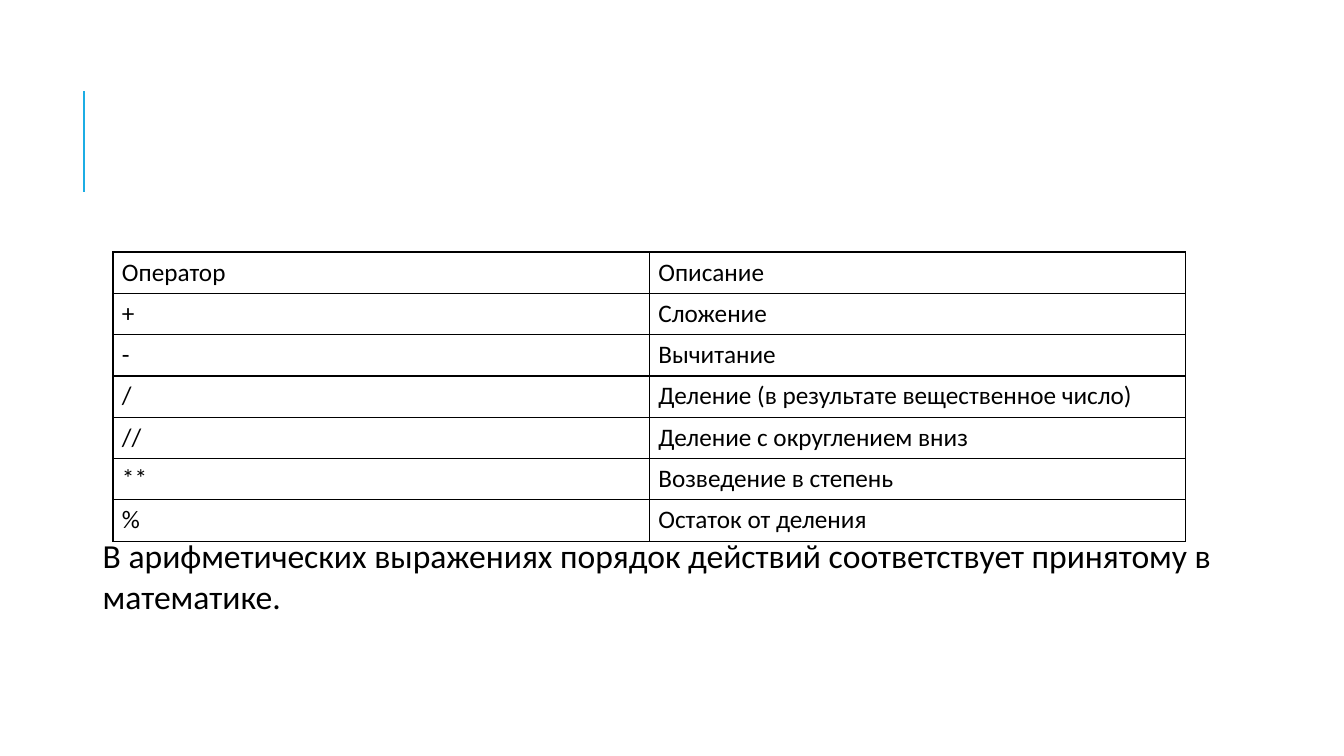
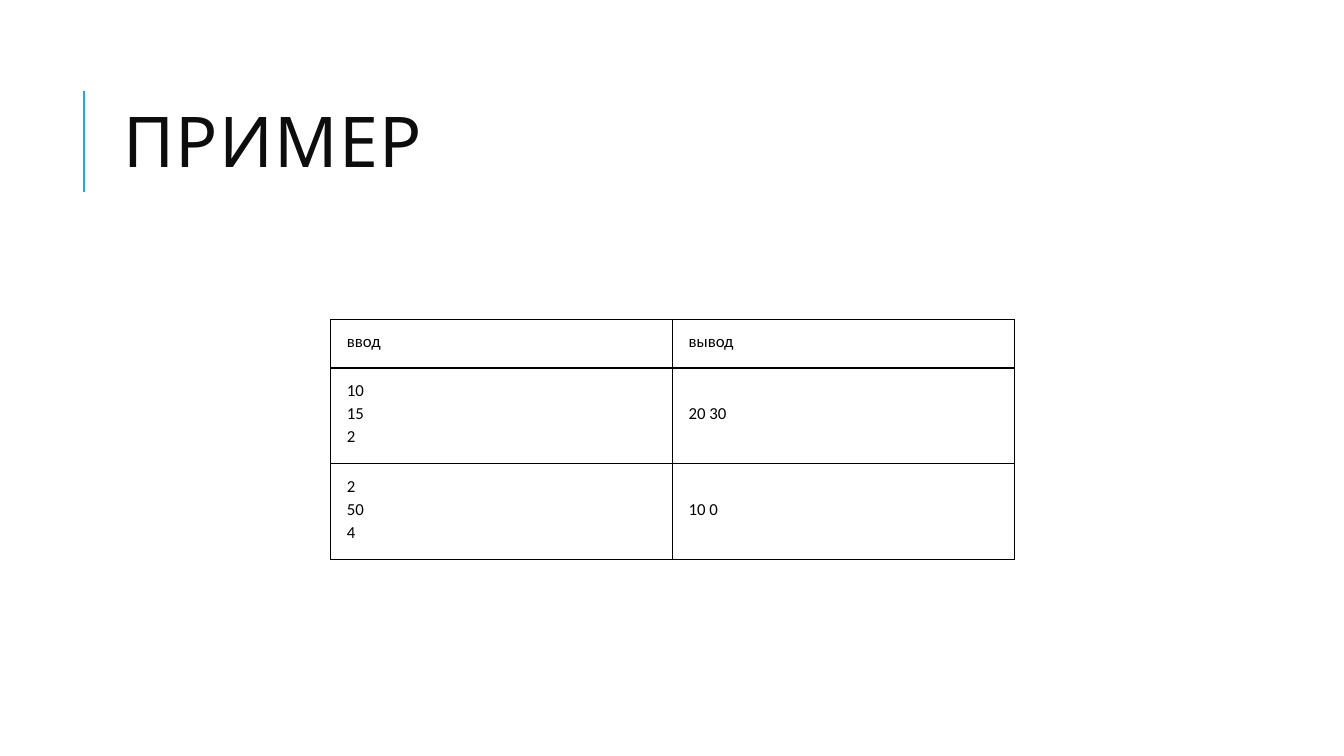
from dataclasses import dataclass

from lxml import etree
from pptx import Presentation
from pptx.dml.color import RGBColor
from pptx.enum import shapes, text
from pptx.oxml import ns
from pptx.slide import Slide
from pptx.table import _Cell
from pptx.util import Inches, Length, Pt

ACCENT = RGBColor(0x1C, 0xAD, 0xE4)
TITLE_COLOR = RGBColor(0x0D, 0x0D, 0x0D)
BLACK = RGBColor(0, 0, 0)
TITLE_FONT = "Cabin"
BODY_FONT = "Calibri"


@dataclass(frozen=True)
class TableLook:
    left: Length
    top: Length
    column_width: Length
    row_heights: tuple[Length, ...]
    font_size: Length
    margins: tuple[Length, Length, Length, Length]
    anchor: text.MSO_ANCHOR = text.MSO_ANCHOR.TOP
    header_spacing: float | None = None
    body_spacing: Length | None = None


OPERATOR_ROWS = (
    ("Оператор", "Описание"),
    ("+", "Сложение"),
    ("-", "Вычитание"),
    ("/", "Деление (в результате вещественное число)"),
    ("//", "Деление с округлением вниз"),
    ("**", "Возведение в степень"),
    ("%", "Остаток от деления"),
)
OPERATOR_LOOK = TableLook(
    left=Inches(1.12),
    top=Inches(2.5),
    column_width=Inches(5.32),
    row_heights=(Inches(0.41),) * len(OPERATOR_ROWS),
    font_size=Pt(18),
    margins=(Inches(0.09), Inches(0.05), Inches(0.09), Inches(0.05)),
)
EXAMPLE_ROWS = (
    ("ввод", "вывод"),
    ("10\v15\v2", "20 30"),
    ("2\v50\v4", "10 0"),
)
EXAMPLE_LOOK = TableLook(
    left=Inches(3.28),
    top=Inches(3.17),
    column_width=Inches(3.39),
    row_heights=(Inches(0.48), Inches(0.95), Inches(0.95)),
    font_size=Pt(12),
    margins=(Inches(0.16), Inches(0.1), Inches(0.16), Inches(0.16)),
    anchor=text.MSO_ANCHOR.MIDDLE,
    header_spacing=1.07,
    body_spacing=Pt(16.5),
)


def style_font(font, name: str, size: Length, color: RGBColor) -> None:
    font.name = name
    font.size = size
    font.bold = False
    font.color.rgb = color


def add_title_bar(slide: Slide) -> None:
    bar = slide.shapes.add_connector(
        shapes.MSO_CONNECTOR.STRAIGHT,
        Inches(0.83), Inches(1.9), Inches(0.83), Inches(0.9),
    )
    bar.line.color.rgb = ACCENT
    bar.line.width = Pt(1.5)
    properties = bar._element.find(ns.qn("p:spPr"))
    etree.SubElement(properties, ns.qn("a:effectLst"))


def set_title(slide: Slide, wording: str) -> None:
    title = slide.shapes.title
    title.left, title.top = Inches(1.12), Inches(0.64)
    title.width, title.height = Inches(10.63), Inches(1.64)
    frame = title.text_frame
    frame.text = wording
    frame.auto_size = text.MSO_AUTO_SIZE.NONE
    frame.vertical_anchor = text.MSO_ANCHOR.MIDDLE
    paragraph = frame.paragraphs[0]
    paragraph.alignment = text.PP_ALIGN.LEFT
    paragraph.line_spacing = 0.8
    run = paragraph.runs[0]
    style_font(run.font, TITLE_FONT, Pt(50), TITLE_COLOR)
    run._r.get_or_add_rPr().set("spc", "100")


def add_borders(cell: _Cell) -> None:
    properties = cell._tc.get_or_add_tcPr()
    for index, side in enumerate(("lnL", "lnR", "lnT", "lnB")):
        line = etree.Element(ns.qn(f"a:{side}"), w=str(Pt(1)))
        fill = etree.SubElement(line, ns.qn("a:solidFill"))
        etree.SubElement(fill, ns.qn("a:srgbClr"), val=str(BLACK))
        properties.insert(index, line)


def fill_cell(cell: _Cell, wording: str, look: TableLook,
              spacing: float | Length | None) -> None:
    cell.fill.background()
    add_borders(cell)
    (cell.margin_left, cell.margin_top,
     cell.margin_right, cell.margin_bottom) = look.margins
    cell.vertical_anchor = look.anchor
    cell.text_frame.text = wording
    paragraph = cell.text_frame.paragraphs[0]
    paragraph.line_spacing = spacing
    for run in paragraph.runs:
        style_font(run.font, BODY_FONT, look.font_size, BLACK)


def add_grid(slide: Slide, rows: tuple[tuple[str, ...], ...],
             look: TableLook) -> None:
    column_count = len(rows[0])
    table = slide.shapes.add_table(
        len(rows), column_count, look.left, look.top,
        look.column_width * column_count, sum(look.row_heights),
    ).table
    table.first_row = False
    table.horz_banding = False
    for column in table.columns:
        column.width = look.column_width
    for row_index, wordings in enumerate(rows):
        table.rows[row_index].height = look.row_heights[row_index]
        spacing = look.body_spacing if row_index else look.header_spacing
        for column_index, wording in enumerate(wordings):
            fill_cell(table.cell(row_index, column_index), wording, look, spacing)


def add_note(slide: Slide, wording: str) -> None:
    note = slide.shapes.add_textbox(
        Inches(0.92), Inches(5.26), Inches(11.5), Inches(0.91))
    frame = note.text_frame
    frame.word_wrap = True
    frame.text = wording
    style_font(frame.paragraphs[0].runs[0].font, BODY_FONT, Pt(24), BLACK)


def main() -> None:
    presentation = Presentation()
    presentation.slide_width = Inches(13.33)
    presentation.slide_height = Inches(7.5)
    layouts = presentation.slide_layouts

    operators = presentation.slides.add_slide(layouts.get_by_name("Blank"))
    add_title_bar(operators)
    add_grid(operators, OPERATOR_ROWS, OPERATOR_LOOK)
    add_note(operators, "В арифметических выражениях порядок действий "
                        "соответствует принятому в математике.")

    example = presentation.slides.add_slide(layouts.get_by_name("Title Only"))
    add_title_bar(example)
    set_title(example, "ПРИМЕР")
    add_grid(example, EXAMPLE_ROWS, EXAMPLE_LOOK)

    presentation.save("out.pptx")


if __name__ == "__main__":
    main()
